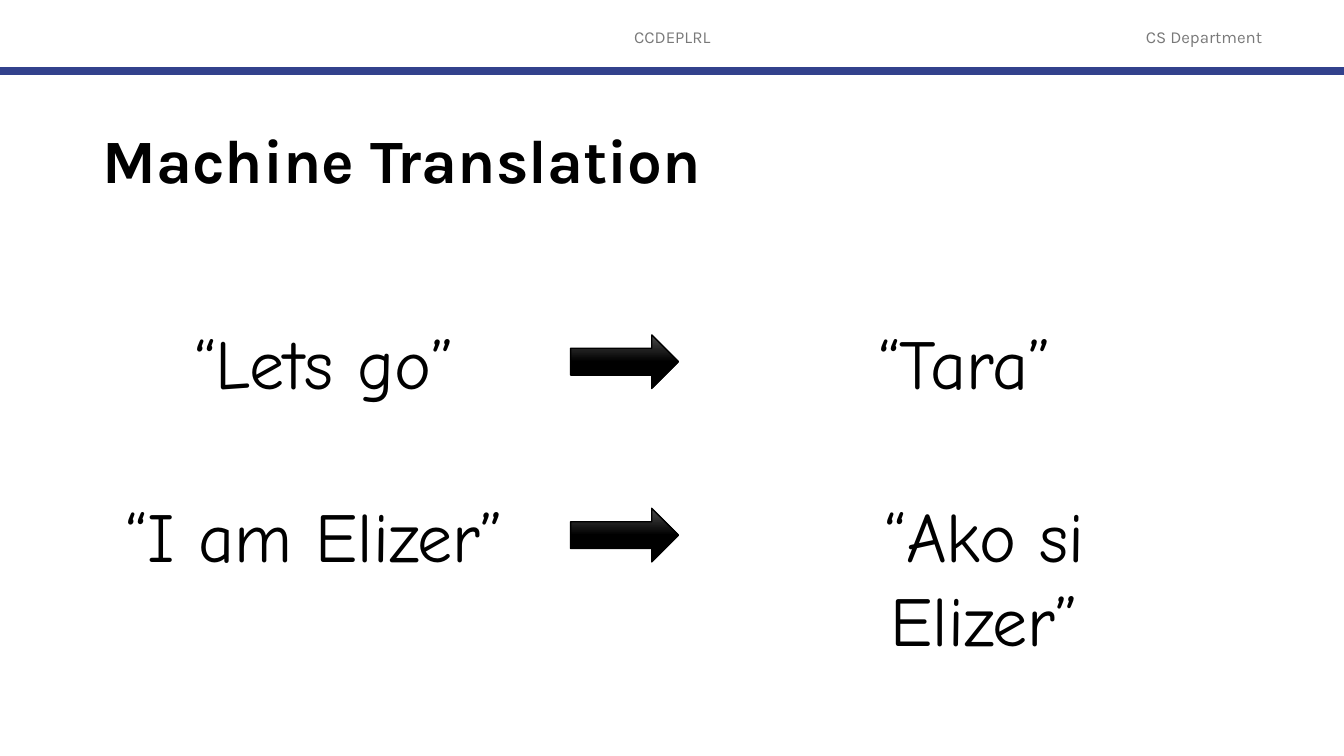
"""Builds the Machine Translation slide with two example phrases."""
from copy import deepcopy
from lxml import etree
from pptx import Presentation
from pptx.dml.color import RGBColor
from pptx.enum import shapes, text
from pptx.oxml import ns
from pptx.util import Cm, Pt

BLACK = RGBColor(0x00, 0x00, 0x00)
SHINE = RGBColor(0x4B, 0x4B, 0x4B)
GREY = RGBColor(0x79, 0x79, 0x79)
BLUE = RGBColor(0x32, 0x41, 0x8C)

deck = Presentation()
deck.slide_width, deck.slide_height = Cm(33.87), Cm(19.05)
slide = deck.slides.add_slide(deck.slide_layouts[5])


def write(box, words, font, size, color, align, bold=False):
    """Put one formatted run in the first paragraph of a box."""
    box.text_frame.word_wrap = True
    para = box.text_frame.paragraphs[0]
    para.alignment = align
    run = para.add_run()
    run.text = words
    run.font.name, run.font.size, run.font.bold = font, Pt(size), bold
    run.font.color.rgb = color
    return para


for words, left, width in (("CCDEPLRL", 11.23, 11.43), ("CS Department", 27.74, 5.21)):
    box = slide.shapes.add_textbox(Cm(left), Cm(0.43), Cm(width), Cm(1.02))
    box.text_frame.vertical_anchor = text.MSO_ANCHOR.MIDDLE
    write(box, words, "Karla", 12, GREY, text.PP_ALIGN.CENTER)

rule = slide.shapes.add_connector(
    shapes.MSO_CONNECTOR.STRAIGHT, 0, Cm(1.79), deck.slide_width, Cm(1.79))
rule.line.color.rgb = BLUE
rule.line.width = Pt(6)
etree.SubElement(rule._element.spPr, ns.qn("a:effectLst"))

title = slide.shapes.title
title.left, title.top, title.width, title.height = Cm(2.33), Cm(2.29), Cm(29.21), Cm(3.68)
title.text_frame.vertical_anchor = text.MSO_ANCHOR.MIDDLE
head = write(title, "Machine Translation", "Karla", 44, BLACK, text.PP_ALIGN.LEFT, True)
head.line_spacing = 0.9

PAIRS = (
    (7.92, ("“Lets go”", 3.33, 9.68), ("“Tara”", 19.48, 9.68)),
    (12.29, ("“I am Elizer”", 2.87, 10.13), ("“Ako si Elizer”", 19.48, 10.67)),
)
for top, *sides in PAIRS:
    for words, left, width in sides:
        box = slide.shapes.add_textbox(Cm(left), Cm(top), Cm(width), Cm(2.39))
        write(box, words, "Comic Neue", 50, BLACK, text.PP_ALIGN.CENTER)
        box.text_frame.auto_size = text.MSO_AUTO_SIZE.SHAPE_TO_FIT_TEXT

    arrow = slide.shapes.add_shape(
        shapes.MSO_SHAPE.RIGHT_ARROW, Cm(14.38), Cm(top + 0.52), Cm(2.72), Cm(1.35))
    arrow.shadow.inherit = False
    arrow.line.color.rgb = BLACK
    arrow.line.width = Pt(1)
    arrow.fill.gradient()
    arrow.fill.gradient_angle = 270
    stops = arrow._element.spPr.find(".//" + ns.qn("a:gsLst"))
    stops.append(deepcopy(stops[-1]))
    for stop, place, color in zip(
            arrow.fill.gradient_stops, (0, 0.5, 1), (SHINE, BLACK, BLACK)):
        stop.position = place
        stop.color.rgb = color

deck.save("out.pptx")
